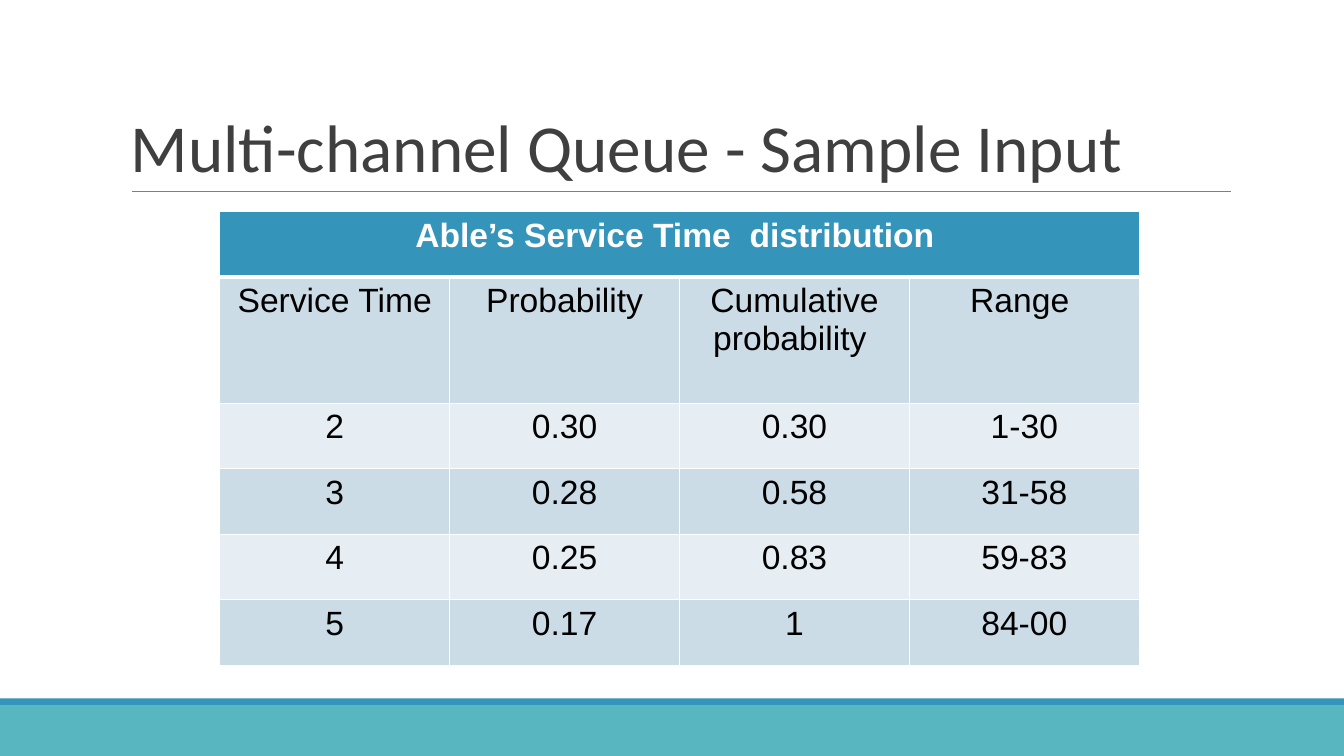
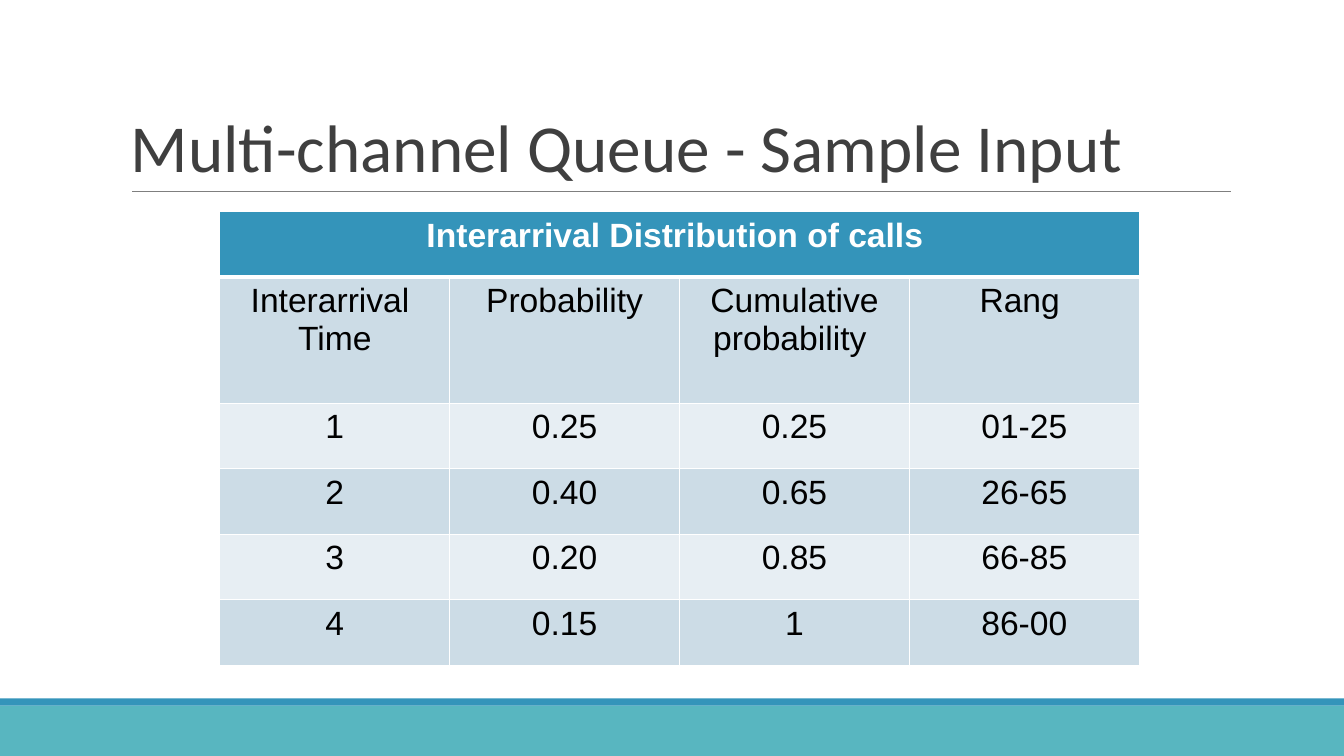
from lxml import etree
from pptx import Presentation
from pptx.dml.color import RGBColor
from pptx.enum.shapes import MSO_CONNECTOR, MSO_SHAPE
from pptx.enum.text import MSO_ANCHOR, PP_ALIGN
from pptx.oxml.ns import qn
from pptx.util import Inches, Pt

RECTANGLE = MSO_SHAPE.RECTANGLE
STRAIGHT = MSO_CONNECTOR.STRAIGHT
BOTTOM = MSO_ANCHOR.BOTTOM
CENTER = PP_ALIGN.CENTER

WHITE = RGBColor(0xFF, 0xFF, 0xFF)
BLACK = RGBColor(0x00, 0x00, 0x00)
TITLE_GRAY = RGBColor(0x3F, 0x3F, 0x3F)
RULE_GRAY = RGBColor(0x7F, 0x7F, 0x7F)
BLUE = RGBColor(0x34, 0x94, 0xBA)
TEAL = RGBColor(0x58, 0xB6, 0xC0)
BAND_DARK = RGBColor(0xCC, 0xDC, 0xE6)
BAND_LIGHT = RGBColor(0xE7, 0xEE, 0xF3)

SLIDE_W, SLIDE_H = Inches(13.33), Inches(7.5)
FOOTER_H, STRIPE_H = Inches(0.5), Inches(0.07)
TITLE_BOX = (Inches(1.2), Inches(0.31), Inches(11), Inches(1.59))
RULE_LEFT, RULE_RIGHT = Inches(1.31), Inches(12.21)
TABLE_LEFT, TABLE_TOP = Inches(2.18), Inches(2.1)
COLUMN_W, ROW_H, LABEL_ROW_H = Inches(2.28), Inches(0.65), Inches(1.25)

TITLE_FONT = {"name": "Calibri", "size": Pt(48)}
HEADING_FONT = {"name": "Arial", "size": Pt(24), "bold": True}
BODY_FONT = {"name": "Arial", "size": Pt(24), "bold": False}

TITLE = "Multi-channel Queue - Sample Input"
DISTRIBUTIONS = [
    ("Able’s Service Time  distribution ", [
        ("Service Time", "Probability", "Cumulative probability ", "Range "),
        ("2", "0.30", "0.30", "1-30"),
        ("3", "0.28", "0.58", "31-58"),
        ("4", "0.25", "0.83", "59-83"),
        ("5", "0.17", "1", "84-00"),
    ]),
    ("Interarrival Distribution of calls ", [
        ("Interarrival  Time", "Probability", "Cumulative probability ", "Rang "),
        ("1", "0.25", "0.25", "01-25"),
        ("2", "0.40", "0.65", "26-65"),
        ("3", "0.20", "0.85", "66-85"),
        ("4", "0.15", "1", "86-00"),
    ]),
]


def write(paragraph, text, font_format, color):
    run = paragraph.add_run()
    run.text = text
    for attribute, value in font_format.items():
        setattr(run.font, attribute, value)
    run.font.color.rgb = color


def add_band(slide, top, height, color):
    band = slide.shapes.add_shape(RECTANGLE, 0, top, SLIDE_W, height)
    band.shadow.inherit = False
    band.fill.solid()
    band.fill.fore_color.rgb = color
    band.line.fill.background()


def add_frame(slide):
    # Footer bands
    footer_top = SLIDE_H - FOOTER_H
    add_band(slide, footer_top, FOOTER_H, TEAL)
    add_band(slide, footer_top - STRIPE_H, STRIPE_H, BLUE)
    # Rule under the title
    rule_y = TITLE_BOX[1] + TITLE_BOX[3]
    rule = slide.shapes.add_connector(STRAIGHT, RULE_LEFT, rule_y, RULE_RIGHT, rule_y)
    rule.line.color.rgb = RULE_GRAY
    rule.line.width = Pt(0.75)
    etree.SubElement(rule._element.spPr, qn("a:effectLst"))


def add_title(slide, text, box):
    frame = slide.shapes.add_textbox(*box).text_frame
    frame.word_wrap = True
    frame.vertical_anchor = BOTTOM
    frame.paragraphs[0].line_spacing = 0.85
    write(frame.paragraphs[0], text, TITLE_FONT, TITLE_GRAY)


def set_borders(cell, widths):
    properties = cell._tc.get_or_add_tcPr()
    for side, width in widths.items():
        border = etree.SubElement(properties, qn("a:" + side), w=str(Pt(width)))
        fill = etree.SubElement(border, qn("a:solidFill"))
        etree.SubElement(fill, qn("a:srgbClr"), val=str(WHITE))


def add_distribution(slide, heading, rows, left, top):
    columns = len(rows[0])
    heights = [ROW_H, LABEL_ROW_H] + [ROW_H] * (len(rows) - 1)
    table = slide.shapes.add_table(len(heights), columns, left, top,
                                   COLUMN_W * columns, sum(heights)).table
    table.first_row = table.horz_banding = False
    for column in table.columns:
        column.width = COLUMN_W
    for row, height in zip(table.rows, heights):
        row.height = height
    table.cell(0, 0).merge(table.cell(0, columns - 1))

    # Heading row, then alternating bands
    for r, texts in enumerate([(heading,) + ("",) * (columns - 1)] + rows):
        if r == 0:
            fill, font_format, color = BLUE, HEADING_FONT, WHITE
        else:
            fill = BAND_DARK if r % 2 else BAND_LIGHT
            font_format, color = BODY_FONT, BLACK
        for c, text in enumerate(texts):
            cell = table.cell(r, c)
            set_borders(cell, {"lnL": 1, "lnR": 1,
                               "lnT": 3 if r == 1 else 1,
                               "lnB": 3 if r == 0 else 1})
            cell.fill.solid()
            cell.fill.fore_color.rgb = fill
            if text:
                paragraph = cell.text_frame.paragraphs[0]
                paragraph.alignment = CENTER
                write(paragraph, text, font_format, color)


def main():
    deck = Presentation()
    deck.slide_width, deck.slide_height = SLIDE_W, SLIDE_H
    blank = deck.slide_layouts[6]
    for heading, rows in DISTRIBUTIONS:
        slide = deck.slides.add_slide(blank)
        add_frame(slide)
        add_title(slide, TITLE, TITLE_BOX)
        add_distribution(slide, heading, rows, TABLE_LEFT, TABLE_TOP)
    deck.save("out.pptx")


if __name__ == "__main__":
    main()
